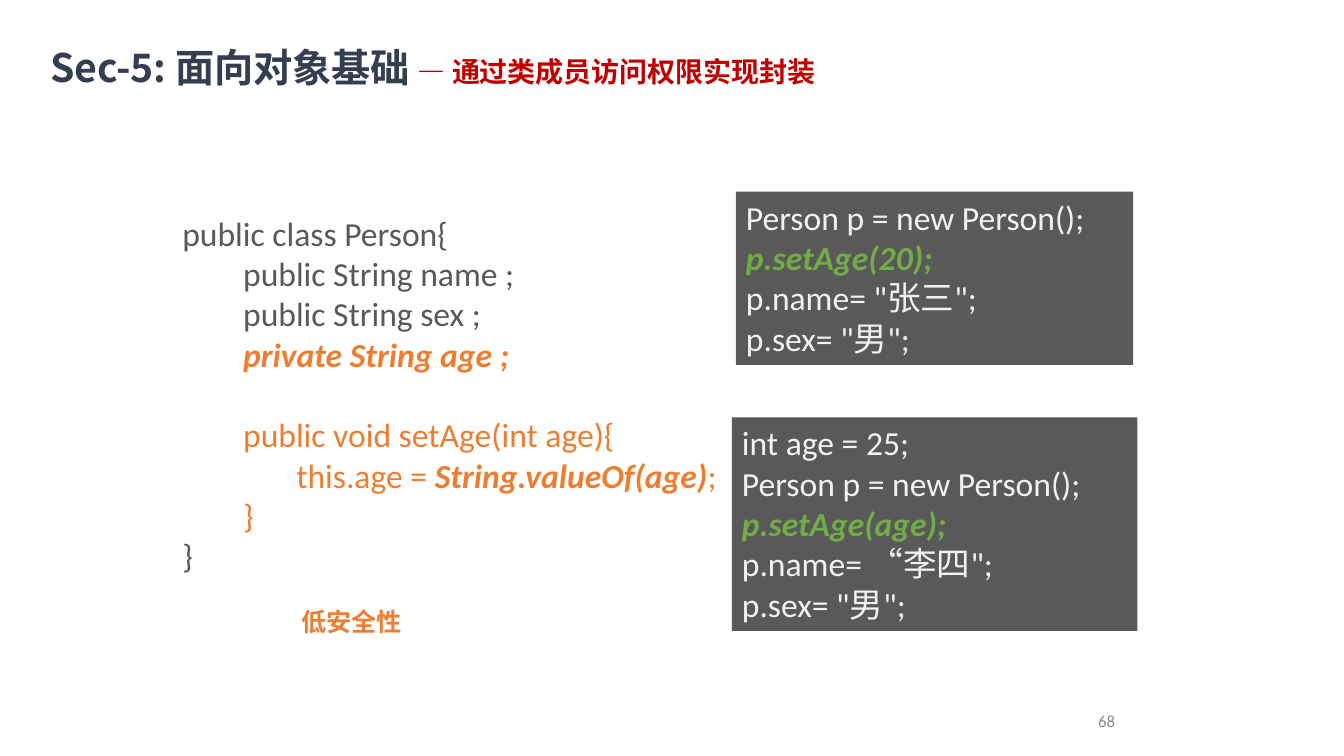
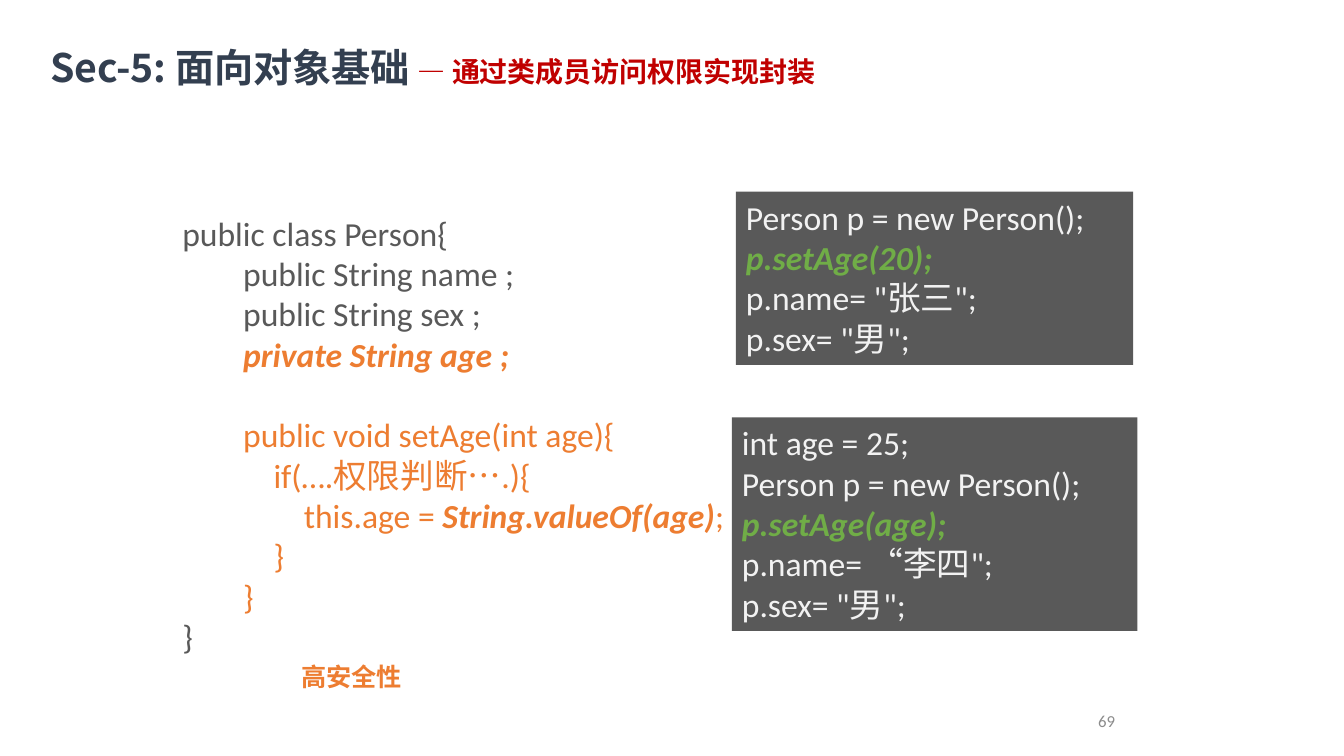
from lxml import etree
from pptx import Presentation
from pptx.dml.color import RGBColor
from pptx.enum.shapes import MSO_SHAPE
from pptx.enum.text import MSO_ANCHOR, PP_ALIGN
from pptx.oxml.ns import qn
from pptx.util import Inches, Pt

RECT = MSO_SHAPE.RECTANGLE
TOP, MIDDLE = MSO_ANCHOR.TOP, MSO_ANCHOR.MIDDLE
LEFT, RIGHT = PP_ALIGN.LEFT, PP_ALIGN.RIGHT

LATIN, HAN = "Calibri", "Noto Sans CJK SC"
GREY, PALE, ORANGE, GREEN = "595959", "F2F2F2", "ED7D31", "70AD47"
NAVY, RED, MUTED = "333F50", "C00000", "8C8C8C"

# A run is (text, colour, strong); strong code is bold and italic.
TITLE = [("Sec-5: 面向对象基础 ", NAVY, 28), ("— 通过类成员访问权限实现封装", RED, 20)]

FIELDS = [
    [("public class Person{", GREY, False)],
    [("        public String name ;", GREY, False)],
    [("        public String sex ;", GREY, False)],
    [("        private String age ;", ORANGE, True)],
    [("        ", ORANGE, False)],
    [("        public void setAge(int age){", ORANGE, False)],
]
CLOSE = [[("        }", ORANGE, False)], [("}", GREY, False)]]


def assign(indent):
    """The line of code that stores the age."""
    return [(" " * indent + "this.age = ", ORANGE, False),
            ("String.valueOf(age)", ORANGE, True), (";", ORANGE, False)]


GUARD = [
    [("            if(….权限判断….){", ORANGE, False)],
    assign(16),
    [("            }", ORANGE, False)],
]


def usage(*lines):
    """Lines of calling code, with the setter call marked."""
    return [[(line, GREEN if "setAge" in line else PALE, "setAge" in line)]
            for line in lines]


PANELS = [
    ((7.3, 1.9, 3.94, 1.72),
     usage("Person p = new Person();", "p.setAge(20);",
           'p.name= "张三";', 'p.sex= "男";')),
    ((7.26, 4.14, 4.02, 2.12),
     usage("int age = 25;", "Person p = new Person();", "p.setAge(age);",
           'p.name= “李四";', 'p.sex= "男";')),
]

# number, body of the setter, code height, verdict, verdict top
SLIDES = [
    (68, [assign(15)], 3.74, "低安全性", 5.97),
    (69, GUARD, 4.54, "高安全性", 6.51),
]


def rgb(code):
    return RGBColor.from_string(code)


def inches(box):
    return [Inches(n) for n in box]


def add_run(para, text, colour, size, bold=False, italic=False, face=LATIN):
    run = para.add_run()
    run.text = text
    font = run.font
    font.name, font.size = face, Pt(size)
    font.bold, font.italic = bold, italic
    font.color.rgb = rgb(colour)
    east = etree.Element(qn("a:ea"), typeface=HAN)
    font._element.find(qn("a:latin")).addnext(east)
    return run


def add_box(slide, box, anchor=TOP):
    frame = slide.shapes.add_textbox(*inches(box)).text_frame
    frame.word_wrap = True
    frame.vertical_anchor = anchor
    return frame


def add_code(frame, lines):
    for i, line in enumerate(lines):
        para = frame.paragraphs[0] if i == 0 else frame.add_paragraph()
        para.alignment = LEFT
        for text, colour, strong in line:
            add_run(para, text, colour, 24, strong, strong)


def add_panel(slide, box, lines):
    panel = slide.shapes.add_shape(RECT, *inches(box))
    panel.shadow.inherit = False
    panel.fill.solid()
    panel.fill.fore_color.rgb = rgb(GREY)
    panel.line.fill.background()
    frame = panel.text_frame
    frame.word_wrap = True
    frame.vertical_anchor = TOP
    add_code(frame, lines)


def set_title(slide):
    title = slide.shapes.title
    title.left, title.top, title.width, title.height = inches(
        (0.5, 0.42, 9.08, 0.48))
    frame = title.text_frame
    frame.word_wrap = True
    frame.vertical_anchor = TOP
    frame.margin_left = frame.margin_right = frame.margin_bottom = 0
    frame.margin_top = Inches(0.01)
    para = frame.paragraphs[0]
    para.alignment = LEFT
    for text, colour, size in TITLE:
        run = add_run(para, text, colour, size, bold=True, face=HAN)
        run.font._element.set("spc", "-10")


def add_slide(deck, number, body, height, verdict, top):
    slide = deck.slides.add_slide(deck.slide_layouts[5])
    set_title(slide)
    add_code(add_box(slide, (1.71, 2.06, 5.81, height)), FIELDS + body + CLOSE)
    for box, lines in PANELS:
        add_panel(slide, box, lines)
    note = add_box(slide, (2.89, top, 1.72, 0.4)).paragraphs[0]
    add_run(note, verdict, ORANGE, 18, bold=True, face=HAN)
    page = add_box(slide, (8.83, 6.95, 2.33, 0.4), MIDDLE).paragraphs[0]
    page.alignment = RIGHT
    add_run(page, str(number), MUTED, 12)


def main():
    deck = Presentation()
    deck.slide_width, deck.slide_height = Inches(13.33), Inches(7.5)
    for item in SLIDES:
        add_slide(deck, *item)
    deck.save("out.pptx")


if __name__ == "__main__":
    main()
